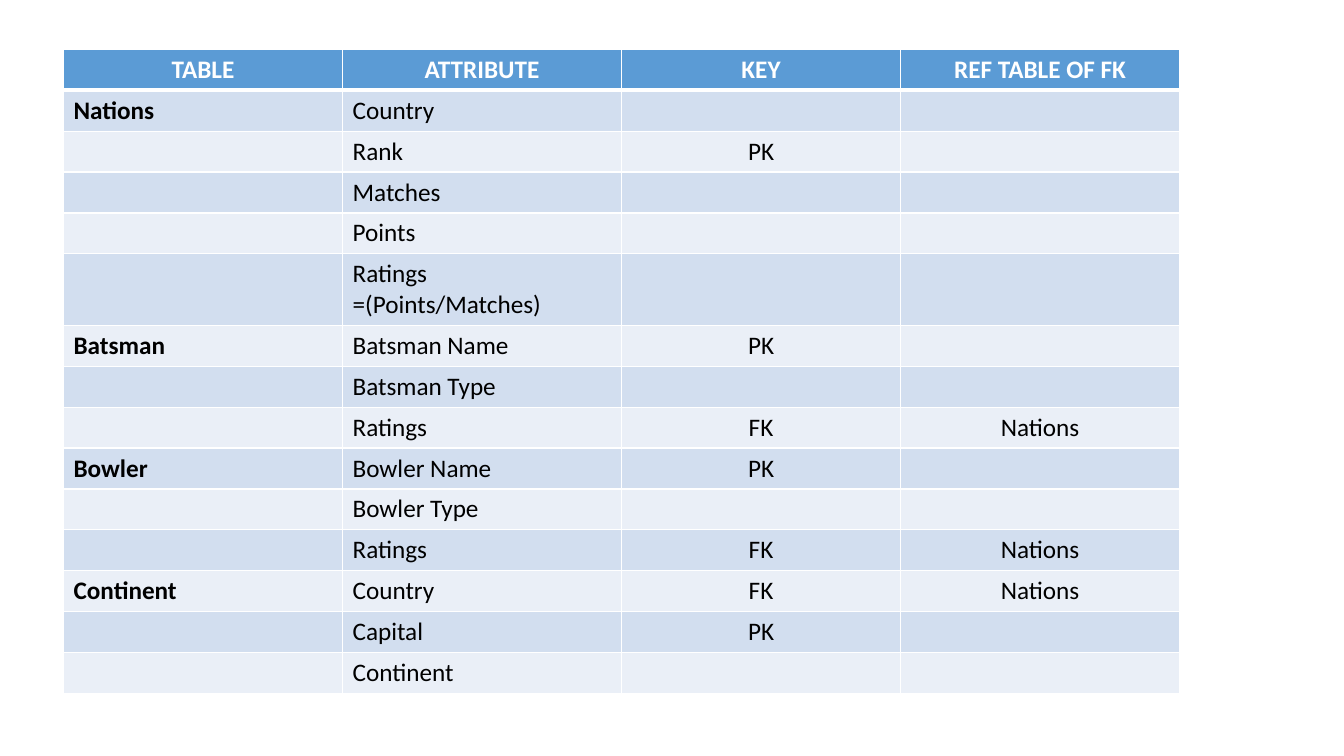
from lxml.etree import SubElement
from pptx import Presentation
from pptx.dml.color import RGBColor
from pptx.enum.text import PP_ALIGN as Align
from pptx.oxml.ns import qn
from pptx.util import Inches, Pt

WHITE = RGBColor(0xFF, 0xFF, 0xFF)
BLACK = RGBColor(0x00, 0x00, 0x00)
HEADER_BLUE = RGBColor(0x5B, 0x9B, 0xD5)
BANDS = RGBColor(0xEA, 0xEF, 0xF7), RGBColor(0xD2, 0xDE, 0xEF)

HEADINGS = ("TABLE", "ATTRIBUTE", "KEY", "REF TABLE OF FK")
ENTITIES = {
    "Nations": [
        ("Country", "", ""),
        ("Rank", "PK", ""),
        ("Matches", "", ""),
        ("Points", "", ""),
        ("Ratings =(Points/Matches)", "", ""),
    ],
    "Batsman": [
        ("Batsman Name", "PK", ""),
        ("Batsman Type", "", ""),
        ("Ratings", "FK", "Nations"),
    ],
    "Bowler": [
        ("Bowler Name", "PK", ""),
        ("Bowler Type", "", ""),
        ("Ratings", "FK", "Nations"),
    ],
    "Continent": [
        ("Country", "FK", "Nations"),
        ("Capital", "PK", ""),
        ("Continent", "", ""),
    ],
}


def schema_rows():
    rows = [HEADINGS]
    for entity, attributes in ENTITIES.items():
        for index, attribute in enumerate(attributes):
            rows.append((entity if index == 0 else "", *attribute))
    return rows


def set_borders(cell, is_header, below_header):
    properties = cell._tc.get_or_add_tcPr()
    thick_side = "lnB" if is_header else "lnT" if below_header else None
    for position, side in enumerate(("lnL", "lnR", "lnT", "lnB")):
        width = Pt(3 if side == thick_side else 1)
        line = SubElement(properties, qn(f"a:{side}"), w=str(width))
        properties.insert(position, line)
        fill = SubElement(line, qn("a:solidFill"))
        SubElement(fill, qn("a:srgbClr"), val=str(WHITE))


def fill_cell(cell, text, row, column):
    is_header = row == 0
    cell.fill.solid()
    cell.fill.fore_color.rgb = HEADER_BLUE if is_header else BANDS[row % 2]
    set_borders(cell, is_header, row == 1)
    cell.text = text
    paragraph = cell.text_frame.paragraphs[0]
    paragraph.alignment = Align.CENTER if is_header or column > 1 else Align.LEFT
    paragraph.font.name = "Calibri"
    paragraph.font.size = Pt(18)
    paragraph.font.bold = is_header or column == 0
    paragraph.font.color.rgb = WHITE if is_header else BLACK


def add_schema_table(slide, left, top, width, row_height):
    rows = schema_rows()
    schema = slide.shapes.add_table(
        len(rows), len(HEADINGS), left, top, width, row_height * len(rows)
    ).table
    for row, texts in enumerate(rows):
        for column, text in enumerate(texts):
            fill_cell(schema.cell(row, column), text, row, column)


def main():
    deck = Presentation()
    deck.slide_width, deck.slide_height = Inches(13.33), Inches(7.5)
    slide = deck.slides.add_slide(deck.slide_layouts[6])
    add_schema_table(slide, Inches(0.63), Inches(0.49), Inches(11.07), Inches(0.32))
    deck.save("out.pptx")


if __name__ == "__main__":
    main()
